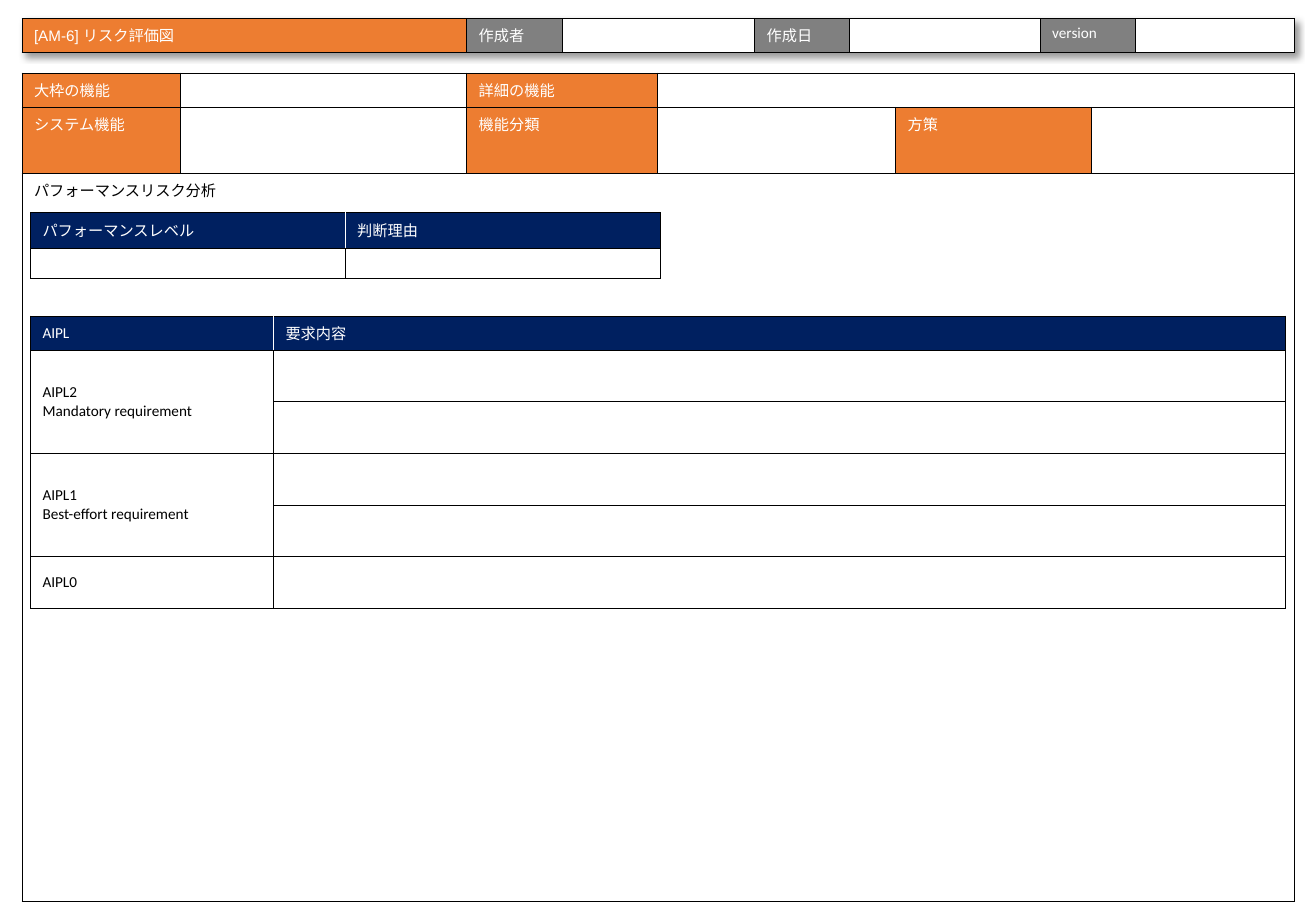
from lxml import etree
from pptx import Presentation
from pptx.dml.color import RGBColor
from pptx.enum.text import MSO_ANCHOR
from pptx.oxml import parse_xml
from pptx.oxml.ns import nsdecls
from pptx.util import Inches, Pt

ORANGE = RGBColor(0xED, 0x7D, 0x31)
GRAY = RGBColor(0x80, 0x80, 0x80)
NAVY = RGBColor(0x00, 0x20, 0x60)
WHITE = RGBColor(0xFF, 0xFF, 0xFF)
BLACK = RGBColor(0x00, 0x00, 0x00)
TOP, MIDDLE = MSO_ANCHOR.TOP, MSO_ANCHOR.MIDDLE
TEXT_SIZE = Pt(9)
BORDER_WIDTH = Pt(0.25)
BLANK = ("", WHITE)
EMPTY = ("", None)
PLAIN_TABLE = {"first_row": False, "horz_banding": False}


def set_borders(cell, left=BLACK, right=BLACK):
    """Draw thin lines on the four sides of a cell."""
    sides = {"lnL": left, "lnR": right, "lnT": BLACK, "lnB": BLACK}
    properties = cell._tc.get_or_add_tcPr()
    for side, color in sides.items():
        properties.append(parse_xml(
            f'<a:{side} {nsdecls("a")} w="{BORDER_WIDTH}"><a:solidFill>'
            f'<a:srgbClr val="{color}"/></a:solidFill></a:{side}>'))


def fill_cell(cell, text, fill, font_name, anchor):
    """Give a cell its background and its text."""
    if fill is None:
        cell.fill.background()
    else:
        cell.fill.solid()
        cell.fill.fore_color.rgb = fill
    cell.vertical_anchor = anchor
    cell.text_frame.text = text
    for paragraph in cell.text_frame.paragraphs:
        paragraph._p.get_or_add_endParaRPr().set("sz", str(int(TEXT_SIZE.pt * 100)))
        for run in paragraph.runs:
            for attribute, value in {"size": TEXT_SIZE, "name": font_name}.items():
                setattr(run.font, attribute, value)
            run.font.color.rgb = BLACK if fill in (None, WHITE) else WHITE


def add_grid(slide, left, top, widths, heights, rows, merges=(),
             first_font="Calibri", anchor=TOP):
    """Place a bordered table of (text, fill) cells and return it."""
    table = slide.shapes.add_table(
        len(heights), len(widths), Inches(left), Inches(top),
        Inches(sum(widths)), Inches(sum(heights))).table
    for attribute, value in PLAIN_TABLE.items():
        setattr(table, attribute, value)
    for column, width in zip(table.columns, widths):
        column.width = Inches(width)
    for row, height in zip(table.rows, heights):
        row.height = Inches(height)
    for (first, last) in merges:
        table.cell(*first).merge(table.cell(*last))
    for r, row in enumerate(rows):
        for c, (text, fill) in enumerate(row):
            cell = table.cell(r, c)
            set_borders(cell,
                        left=WHITE if fill == NAVY and c > 0 else BLACK,
                        right=WHITE if fill == NAVY and c < len(row) - 1 else BLACK)
            fill_cell(cell, text, fill, first_font if r == c == 0 else "Calibri", anchor)
    return table


def add_title_bar(slide, left, top):
    """Place the shadowed bar with title, author, date and version."""
    row = [("[AM-6] リスク評価図", ORANGE)]
    for label in ("作成者", "作成日", "version"):
        row += [(label, GRAY), BLANK]
    table = add_grid(slide, left, top, [3.66, 0.79, 1.58, 0.78, 1.57, 0.78, 1.31],
                     [0.28], [row], first_font="Arial")
    effects = parse_xml(f'<a:effectLst {nsdecls("a")}/>')
    shadow = etree.SubElement(effects, effects.tag.replace("effectLst", "outerShdw"),
                              blurRad="50800", dist="38100", dir="2700000",
                              algn="tl", rotWithShape="0")
    color = etree.SubElement(shadow, effects.tag.replace("effectLst", "srgbClr"),
                             val=str(BLACK))
    etree.SubElement(color, effects.tag.replace("effectLst", "alpha"), val="40000")
    table._tbl.tblPr.insert(0, effects)


def add_function_frame(slide, left, top):
    """Place the function fields above the large analysis area."""
    rows = [
        [("大枠の機能", ORANGE), EMPTY, ("詳細の機能", ORANGE)] + [BLANK] * 3,
        [("システム機能", ORANGE), BLANK, ("機能分類", ORANGE), BLANK,
         ("方策", ORANGE), BLANK],
        [("パフォーマンスリスク分析", WHITE)] + [BLANK] * 5,
    ]
    add_grid(slide, left, top, [1.3, 2.36, 1.57, 1.96, 1.61, 1.67], [0.28, 0.54, 6],
             rows, merges=[((0, 3), (0, 5)), ((2, 0), (2, 5))])


def add_level_table(slide, left, top):
    """Place the performance level and its reason."""
    rows = [[("パフォーマンスレベル", NAVY), ("判断理由", NAVY)], [EMPTY] * 2]
    add_grid(slide, left, top, [2.59] * 2, [0.29, 0.25], rows)


def add_requirement_table(slide, left, top):
    """Place the requirements grouped by AIPL level."""
    rows = [[("AIPL", NAVY), ("要求内容", NAVY)]]
    merges = []
    for label, count in (("AIPL2\nMandatory requirement", 2),
                         ("AIPL1\nBest-effort requirement", 2), ("AIPL0", 1)):
        start = len(rows)
        rows += [[(label, None), EMPTY]] + [[EMPTY] * 2] * (count - 1)
        if count > 1:
            merges.append(((start, 0), (start + count - 1, 0)))
    add_grid(slide, left, top, [2, 8.33], [0.28] + [0.425] * 5, rows, merges,
             anchor=MIDDLE)


def main():
    """Build the risk assessment slide."""
    presentation = Presentation()
    presentation.slide_width = Inches(10.83)
    presentation.slide_height = Inches(7.5)
    slide = presentation.slides.add_slide(presentation.slide_layouts[6])
    add_title_bar(slide, 0.18, 0.15)
    add_function_frame(slide, 0.18, 0.6)
    add_level_table(slide, 0.25, 1.75)
    add_requirement_table(slide, 0.25, 2.6)
    presentation.save("out.pptx")


if __name__ == "__main__":
    main()
